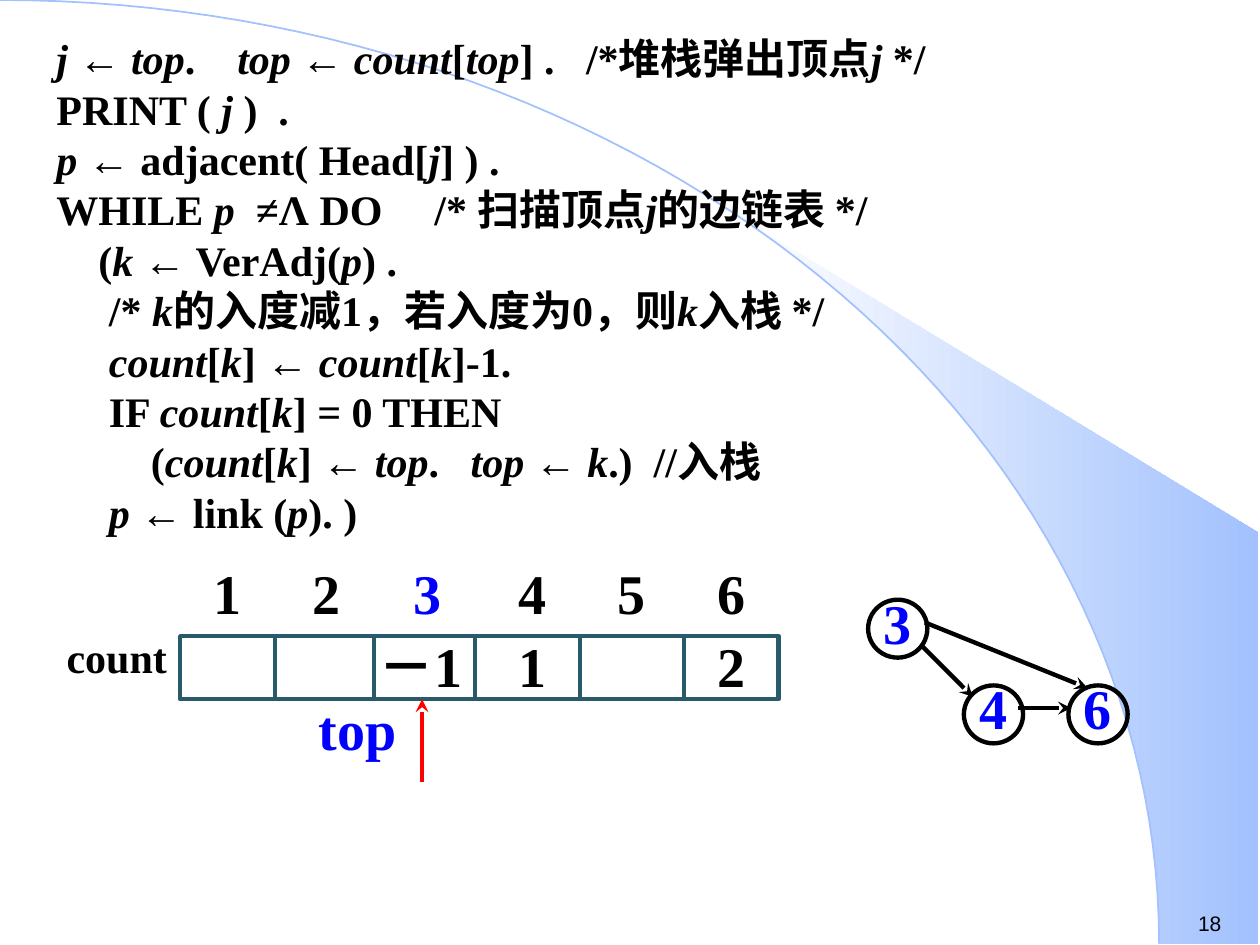
from dataclasses import dataclass
from math import cos, radians, sin

from pptx import Presentation
from pptx import util as u
from pptx.dml.color import RGBColor
from pptx.enum import shapes, text
from pptx.oxml import ns
from lxml import etree

COLORS = {
    "ink": "000000",
    "paper": "FFFFFF",
    "sky": "A2C1FE",
    "teal": "295A69",
    "blue": "0000FF",
    "red": "FF0000",
}
SERIF, SANS = "Times New Roman", "Arial"
COLUMNS, ROWS = 100, 75

deck = Presentation()
deck.slide_width, deck.slide_height = u.Inches(10), u.Inches(7.5)
slide = deck.slides.add_slide(deck.slide_layouts[6])


@dataclass(frozen=True)
class Slot:
    label_left: float
    index: str
    value: str = ""
    index_color: str = "ink"
    value_left: float = 0
    value_width: float = 7.5


@dataclass(frozen=True)
class Vertex:
    left: float
    top: float
    name: str


@dataclass(frozen=True)
class Edge:
    start: tuple[float, float]
    end: tuple[float, float]


def col(n: float) -> int:
    return round(deck.slide_width * n / COLUMNS)


def row(n: float) -> int:
    return round(deck.slide_height * n / ROWS)


def rgb(name: str) -> RGBColor:
    return RGBColor.from_string(COLORS[name])


def write(content: str, left: float, top: float, width: float, height: float, *,
          size: float = 32, font: str = SERIF, color: str = "ink",
          bold: bool = True, align=text.PP_ALIGN.LEFT) -> None:
    """Underscores in content switch italics on and off."""
    box = slide.shapes.add_textbox(col(left), row(top), col(width), row(height))
    frame = box.text_frame
    frame.word_wrap = True
    frame.auto_size = text.MSO_AUTO_SIZE.SHAPE_TO_FIT_TEXT
    for number, line in enumerate(content.split("\n")):
        paragraph = frame.add_paragraph() if number else frame.paragraphs[0]
        paragraph.alignment = align
        for part, words in enumerate(line.split("_")):
            if words:
                run = paragraph.add_run()
                run.text = words
                run.font.size, run.font.name = u.Pt(size), font
                run.font.bold, run.font.italic = bold, part % 2 == 1
                run.font.color.rgb = rgb(color)


def draw_outline(kind, left: float, top: float, width: float, height: float,
                 color: str) -> None:
    shape = slide.shapes.add_shape(kind, col(left), row(top), col(width), row(height))
    shape.shadow.inherit = False
    shape.fill.background()
    shape.line.color.rgb = rgb(color)
    shape.line.width = u.Pt(2.5)


def draw_line(edge: Edge, color: str, weight: float = 2.5, arrow: bool = True) -> None:
    (x1, y1), (x2, y2) = edge.start, edge.end
    line = slide.shapes.add_connector(
        shapes.MSO_CONNECTOR.STRAIGHT, col(x1), row(y1), col(x2), row(y2))
    line.line.color.rgb = rgb(color)
    line.line.width = u.Pt(weight)
    properties = line.element.spPr
    if arrow:
        etree.SubElement(properties.find(ns.qn("a:ln")), ns.qn("a:tailEnd"), type="stealth")
    etree.SubElement(properties, ns.qn("a:effectLst"))


def arc(first: float, last: float, steps: int = 60) -> list[tuple[int, int]]:
    angles = (radians(first + (last - first) * i / steps) for i in range(steps + 1))
    return [(col(92 * sin(a)), row(74.9 * (1 - cos(a)))) for a in angles]


def draw_outline_through(points: list[tuple[int, int]], close: bool):
    builder = slide.shapes.build_freeform(*points[0])
    builder.add_line_segments(points[1:], close=close)
    shape = builder.convert_to_shape()
    shape.shadow.inherit = False
    return shape


def draw_backdrop() -> None:
    corners = [(col(99.9), row(74.9)), (col(99.9), row(42.3))]
    beam = draw_outline_through(arc(39.75, 90) + corners, True)
    beam.line.fill.background()
    beam.fill.gradient()
    beam.fill.gradient_angle = 0
    for stop, position, name in zip(beam.fill.gradient_stops, (0, 1), ("paper", "sky")):
        stop.position, stop.color.rgb = position, rgb(name)
    curve = draw_outline_through(arc(0, 90), False)
    curve.fill.background()
    curve.line.color.rgb = rgb("sky")
    curve.line.width = u.Pt(1)


CODE = """_j _← _top_.    _top _← _count_[_top_] .   /*堆栈弹出顶点_j_ */
PRINT ( _j _)  .
_p _← adjacent( Head[_j_] ) .
WHILE_ p  _≠Λ DO\t/* 扫描顶点_j_的边链表 */
    (_k _← VerAdj(_p_) .
     /* _k_的入度减1，若入度为0，则_k_入栈 */
_     count_[_k_] ← _count_[_k_]-1.
     IF _count_[_k_] = 0 THEN
         (_count_[_k_] ← _top_.   _top _← _k_.)  //入栈
_     p _← link (_p_). )"""

ARRAY_TOP, ARRAY_BOTTOM = 50.5, 55.5
DIVIDERS = (21.8, 29.7, 37.7, 46, 54.3)
SLOTS = (
    Slot(14.3, "1"),
    Slot(22.2, "2"),
    Slot(30.2, "3", "－1", "blue", 28, 10.8),
    Slot(38.5, "4", "1", value_left=38.5),
    Slot(46.4, "5"),
    Slot(54.3, "6", "2", value_left=54.3),
)
VERTICES = (Vertex(76.5, 54.4, "4"), Vertex(68.9, 47.6, "3"), Vertex(84.8, 54.4, "6"))
EDGES = (
    Edge((73.1, 51.2), (77.2, 55.3)),
    Edge((80.8, 56.2), (85, 56.2)),
    Edge((73.4, 49.4), (86.3, 54.6)),
)


def draw_count_array() -> None:
    draw_outline(shapes.MSO_SHAPE.RECTANGLE, 14.3, ARRAY_TOP, 47.5,
                 ARRAY_BOTTOM - ARRAY_TOP, "teal")
    for x in DIVIDERS:
        draw_line(Edge((x, ARRAY_TOP), (x, ARRAY_BOTTOM)), "teal", 2.25, arrow=False)
    for slot in SLOTS:
        write(slot.index, slot.label_left, 43.8, 7.5, 6.3,
              color=slot.index_color, align=text.PP_ALIGN.CENTER)
        if slot.value:
            write(slot.value, slot.value_left, 49.6, slot.value_width, 6.3,
                  align=text.PP_ALIGN.CENTER)
    write("count", 4.3, 49.6, 12.5, 5, size=24)
    write("top", 24.3, 54.6, 10, 6.3, color="blue")
    draw_line(Edge((33.5, 62.1), (33.5, ARRAY_BOTTOM)), "red")


def draw_graph() -> None:
    for vertex in VERTICES:
        draw_outline(shapes.MSO_SHAPE.OVAL, vertex.left, vertex.top, 4.7, 4.6, "ink")
        write(vertex.name, vertex.left + 0.25, vertex.top - 1.4, 3.4, 6.3,
              color="blue", align=text.PP_ALIGN.CENTER)
    for edge in EDGES:
        draw_line(edge, "ink")


draw_backdrop()
write("18", 94.1, 71.8, 5.9, 3, size=12, font=SANS, bold=False)
draw_count_array()
draw_graph()
write(CODE, 3.5, 2.1, 74, 40.9, size=24, align=text.PP_ALIGN.JUSTIFY)
deck.save("out.pptx")
